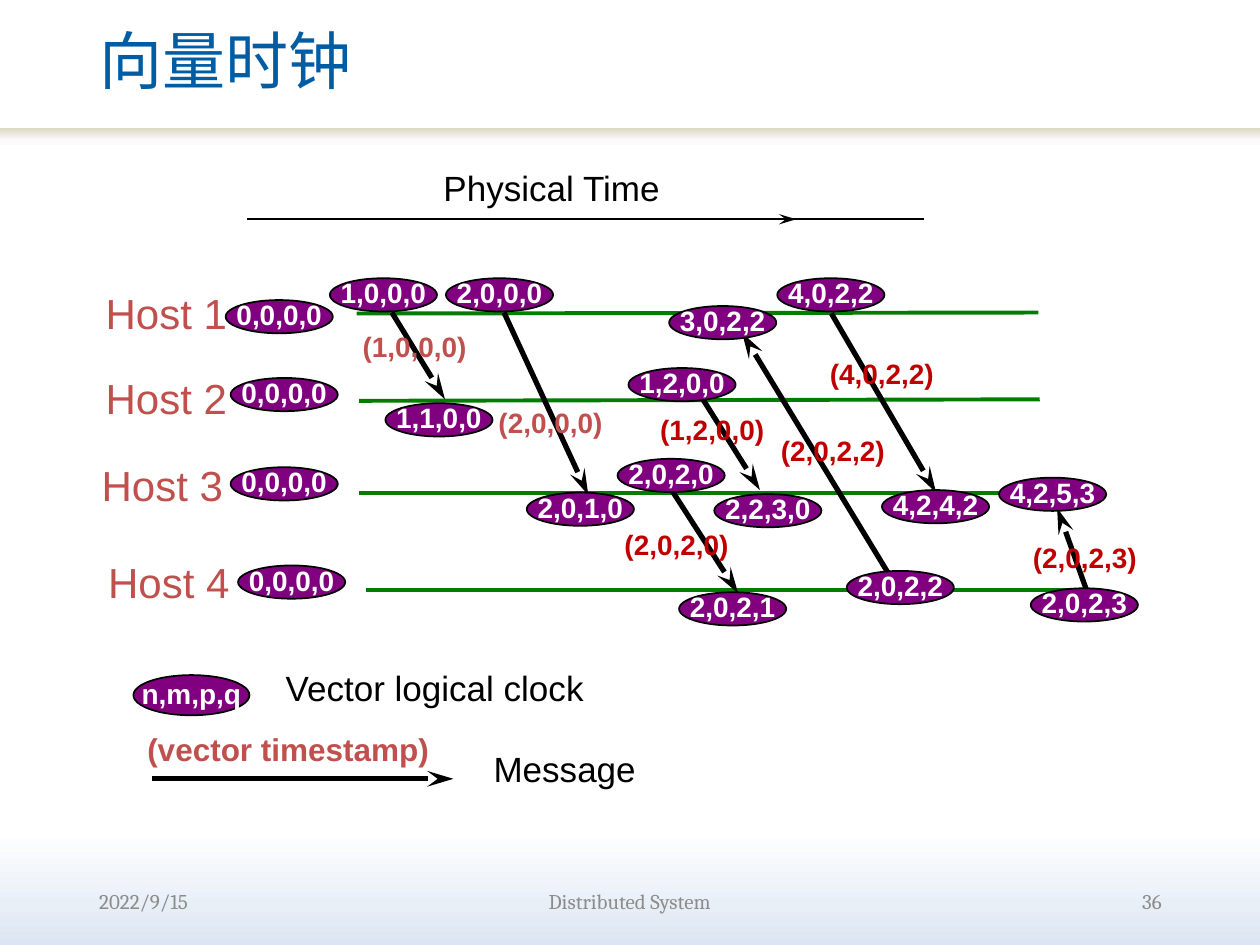
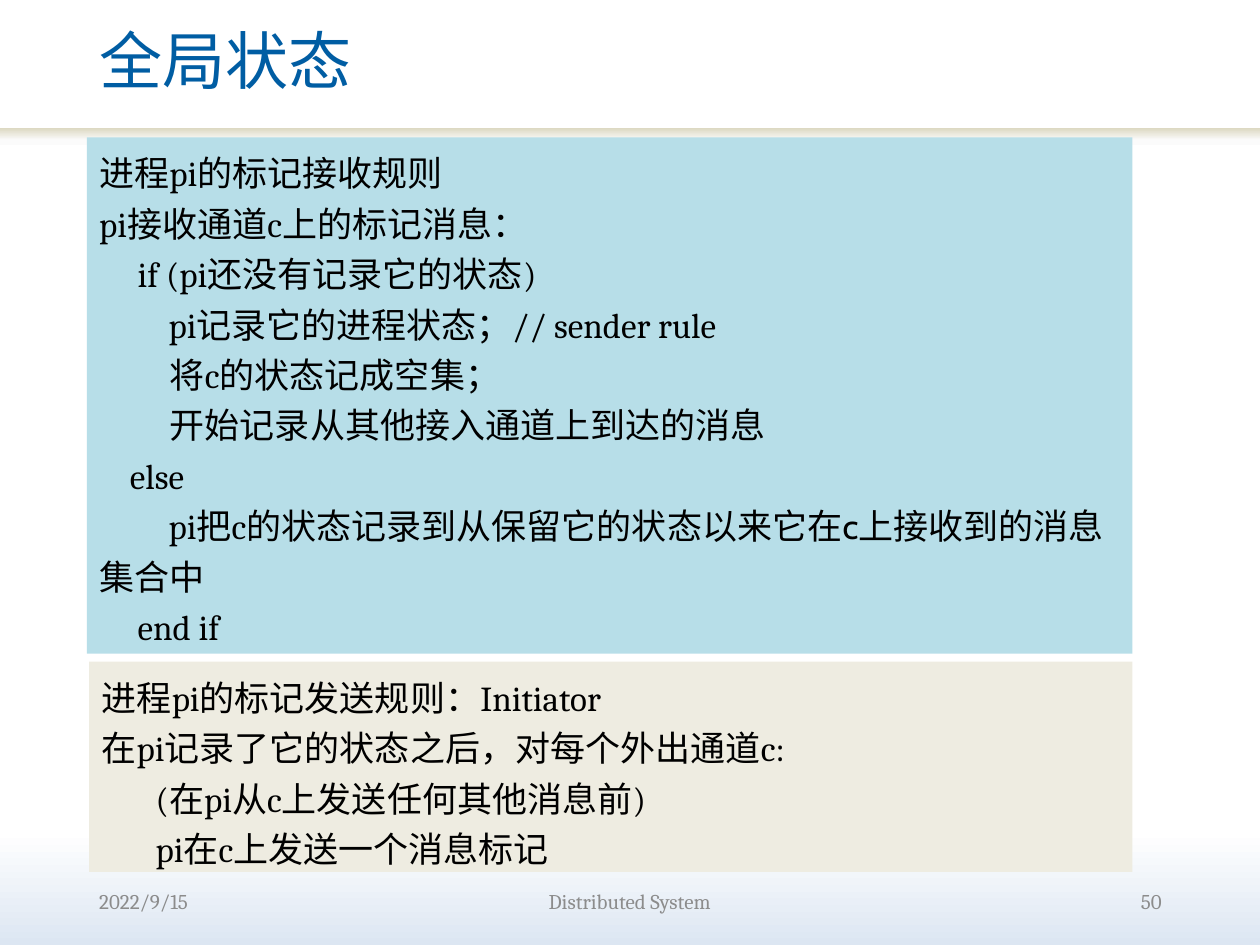
"""Build two slides on vector clocks and global state in a distributed system."""
from copy import deepcopy

from lxml import etree
from pptx import Presentation
from pptx.dml.color import RGBColor
from pptx.enum import shapes, text
from pptx.oxml.ns import qn
from pptx.util import Cm, Pt


class Theme:
    serif, sans, accent_font = "Cambria", "Arial", "Cabin"
    title, footer, ink, white = "005DA3", "8C8C8C", "000000", "FFFFFF"
    host, stamp, clock, timeline = "C0504D", "C00000", "800080", "037C03"
    sky, band_middle, band_edge = "DCE6F2", "FBFBFB", "DDD9C3"
    receive_panel, send_panel = "B7DEE8", "EEECE1"
    title_size, host_size, body_size, legend_size, clock_size, footer_size = 36, 24, 20, 18, 16, 12
    thin, outline_green, thick = 1, 2.25, 3


def write(shape, lines, size, color, font=Theme.sans, bold=False, align=text.PP_ALIGN.LEFT,
          spacing=0.9, anchor=text.MSO_ANCHOR.TOP, wrap=True):
    frame = shape.text_frame
    frame.word_wrap = wrap
    frame.vertical_anchor = anchor
    frame.text = "\n".join(lines)
    for paragraph in frame.paragraphs:
        paragraph.alignment = align
        paragraph.line_spacing = spacing
        paragraph.space_before = Pt(0)
        paragraph.font.name = font
        paragraph.font.size = Pt(size)
        paragraph.font.bold = bold
        paragraph.font.color.rgb = RGBColor.from_string(color)


def draw_line(slide, start, end, color, width, arrow=False):
    line = slide.shapes.add_connector(shapes.MSO_CONNECTOR.STRAIGHT, *map(Cm, start + end))
    line.line.color.rgb = RGBColor.from_string(color)
    line.line.width = Pt(width)
    if arrow:
        etree.SubElement(line.line._get_or_add_ln(), qn("a:tailEnd"), type="stealth", w="med", len="lg")
    etree.SubElement(line._element.spPr, qn("a:effectLst"))


MIDDLE = text.MSO_ANCHOR.MIDDLE
LEFT, CENTER, RIGHT = text.PP_ALIGN.LEFT, text.PP_ALIGN.CENTER, text.PP_ALIGN.RIGHT

deck = Presentation()
deck.slide_width, deck.slide_height = Cm(25.4), Cm(19.05)

sky = deck.slide_master.background.fill
sky.gradient()
sky.gradient_angle = 270
for stop, (position, color) in zip(sky.gradient_stops, [(0.88, Theme.white), (1, Theme.sky)]):
    stop.position = position
    stop.color.rgb = RGBColor.from_string(color)

slides = []
for heading, number in [("向量时钟", "36"), ("全局状态", "50")]:
    slide = deck.slides.add_slide(deck.slide_layouts[5])
    slides.append(slide)

    band = slide.shapes.add_shape(shapes.MSO_SHAPE.RECTANGLE, 0, Cm(2.59), deck.slide_width, Cm(0.43))
    band.shadow.inherit = False
    band.line.fill.background()
    band.fill.gradient()
    band.fill.gradient_angle = 90
    stop_list = band.fill._fill._gradFill.gsLst
    stop_list.insert(1, deepcopy(stop_list[0]))
    band_stops = [(0, Theme.white), (0.45, Theme.band_middle), (1, Theme.band_edge)]
    for stop, (position, color) in zip(band.fill.gradient_stops, band_stops):
        stop.position = position
        stop.color.rgb = RGBColor.from_string(color)

    title = slide.shapes.title
    title.left, title.top, title.width, title.height = Cm(1.75), Cm(0), Cm(21.08), Cm(2.57)
    write(title, [heading], Theme.title_size, Theme.title, Theme.serif, anchor=MIDDLE)

    for words, left, width, align in [("2022/9/15", 1.75, 5.28, LEFT),
                                      ("Distributed System", 7.02, 11.35, CENTER),
                                      (number, 18.39, 5.28, RIGHT)]:
        footer = slide.shapes.add_textbox(Cm(left), Cm(17.65), Cm(width), Cm(1.02))
        write(footer, [words], Theme.footer_size, Theme.footer, Theme.serif,
              align=align, spacing=1, anchor=MIDDLE)

clock_slide, state_slide = slides

draw_line(clock_slide, (4.98, 4.42), (18.62, 4.42), Theme.ink, Theme.thin)
draw_line(clock_slide, (15.32, 4.42), (16.05, 4.42), Theme.ink, Theme.thin, arrow=True)
draw_line(clock_slide, (3.07, 15.7), (9.14, 15.7), Theme.ink, Theme.thick, arrow=True)

hosts = [
    ((1.88, 5.79), (4.55, 6.05), (7.19, 6.32), (20.93, 6.3)),
    ((1.88, 7.49), (4.65, 7.62), (7.24, 8.08), (20.96, 8.05)),
    ((1.8, 9.25), (4.65, 9.42), (7.24, 9.93), (22.3, 9.93)),
    ((1.93, 11.2), (4.8, 11.4), (7.37, 11.89), (22.2, 11.89)),
]
messages = [
    ("1,0,0,0", (6.65, 5.61), "1,1,0,0", (7.77, 8.13), (7.9, 6.3), (8.97, 8.05), (7.06, 6.6), Theme.host),
    ("2,0,0,0", (8.99, 5.61), "2,0,1,0", (10.62, 9.93), (10.16, 6.3), (11.86, 9.98), (9.8, 8.13), Theme.host),
    ("2,0,2,0", (12.45, 9.25), "2,0,2,1", (13.69, 11.94), (13.54, 9.88), (14.88, 11.96), (12.34, 10.59), Theme.stamp),
    ("1,2,0,0", (12.67, 7.42), "2,2,3,0", (14.4, 9.96), (14.17, 8.05), (15.32, 9.88), (13.06, 8.26), Theme.stamp),
    ("4,0,2,2", (15.67, 5.61), "4,2,4,2", (17.78, 9.88), (16.76, 6.32), (18.87, 9.93), (16.48, 7.14), Theme.stamp),
    ("2,0,2,2", (17.07, 11.51), "3,0,2,2", (13.49, 6.17), (18.14, 11.94), (14.96, 6.71), (15.49, 8.69), Theme.stamp),
    ("2,0,2,3", (20.78, 11.86), "4,2,5,3", (20.14, 9.63), (21.89, 11.86), (21.31, 10.24), (20.57, 10.85), Theme.stamp),
]

labels = [
    ("Physical Time", (8.69, 3.33), 6.38, Theme.body_size, Theme.ink, False),
    ("Vector logical clock", (5.51, 13.41), 6.8, Theme.body_size, Theme.ink, False),
    ("Message", (9.7, 15.04), 4.62, Theme.body_size, Theme.ink, False),
    ("(vector timestamp)", (2.72, 14.68), 8.08, Theme.legend_size, Theme.host, True),
]
clocks = [("n,m,p,q", (2.69, 13.61), (2.34, 0.81))]
clock_extent = (2.16, 0.67)

for row, (label_at, clock_at, start, end) in enumerate(hosts, 1):
    draw_line(clock_slide, start, end, Theme.timeline, Theme.outline_green)
    labels.append((f"Host {row}", label_at, 3.2, Theme.host_size, Theme.host, False))
    clocks.append(("0,0,0,0", clock_at, clock_extent))

for sent, sent_at, received, received_at, start, end, stamp_at, color in messages:
    draw_line(clock_slide, start, end, Theme.ink, Theme.thick, arrow=True)
    labels.append((f"({sent})", stamp_at, 2.8, Theme.clock_size, color, True))
    clocks += [(sent, sent_at, clock_extent), (received, received_at, clock_extent)]

for reading, position, extent in clocks:
    clock = clock_slide.shapes.add_shape(shapes.MSO_SHAPE.OVAL, *map(Cm, position + extent))
    clock.shadow.inherit = False
    clock.fill.solid()
    clock.fill.fore_color.rgb = RGBColor.from_string(Theme.clock)
    clock.line.color.rgb = RGBColor.from_string(Theme.ink)
    clock.line.width = Pt(Theme.thin)
    frame = clock.text_frame
    frame.margin_left = frame.margin_right = frame.margin_top = frame.margin_bottom = 0
    write(clock, [reading], Theme.clock_size, Theme.white, bold=True,
          align=CENTER, anchor=MIDDLE, wrap=False)

for words, (left, top), width, size, color, bold in labels:
    label = clock_slide.shapes.add_textbox(Cm(left), Cm(top), Cm(width), Cm(size / 20))
    write(label, [words], size, color, bold=bold)

receive_rule = [
    "进程pi的标记接收规则",
    "pi接收通道c上的标记消息：",
    "     if (pi还没有记录它的状态)",
    "         pi记录它的进程状态；// sender rule",
    "         将c的状态记成空集；",
    "         开始记录从其他接入通道上到达的消息",
    "    else",
    "         pi把c的状态记录到从保留它的状态以来它",
    "     end if",
]
send_rule = [
    "进程pi的标记发送规则：Initiator",
    "在pi记录了它的状态之后，对每个外出通道c:",
    "       (在pi从c上发送任何其他消息前)",
    "       pi在c上发送一个消息标记",
]
panels = []
for rule, left, top, width, height, color in [
        (receive_rule, 1.75, 2.77, 21.08, 10.41, Theme.receive_panel),
        (send_rule, 1.8, 13.34, 21.03, 4.24, Theme.send_panel)]:
    panel = state_slide.shapes.add_shape(shapes.MSO_SHAPE.RECTANGLE, *map(Cm, (left, top, width, height)))
    panels.append(panel)
    panel.shadow.inherit = False
    panel.fill.solid()
    panel.fill.fore_color.rgb = RGBColor.from_string(color)
    panel.line.fill.background()
    write(panel, rule, Theme.body_size, Theme.ink, Theme.serif, spacing=1.2)

rule_ending = panels[0].text_frame.paragraphs[7].add_run()
rule_ending.text = "在c上接收到的消息集合中"
rule_ending.font.name = Theme.accent_font
rule_ending.font.size = Pt(Theme.body_size)
rule_ending.font.color.rgb = RGBColor.from_string(Theme.ink)

deck.save("out.pptx")
